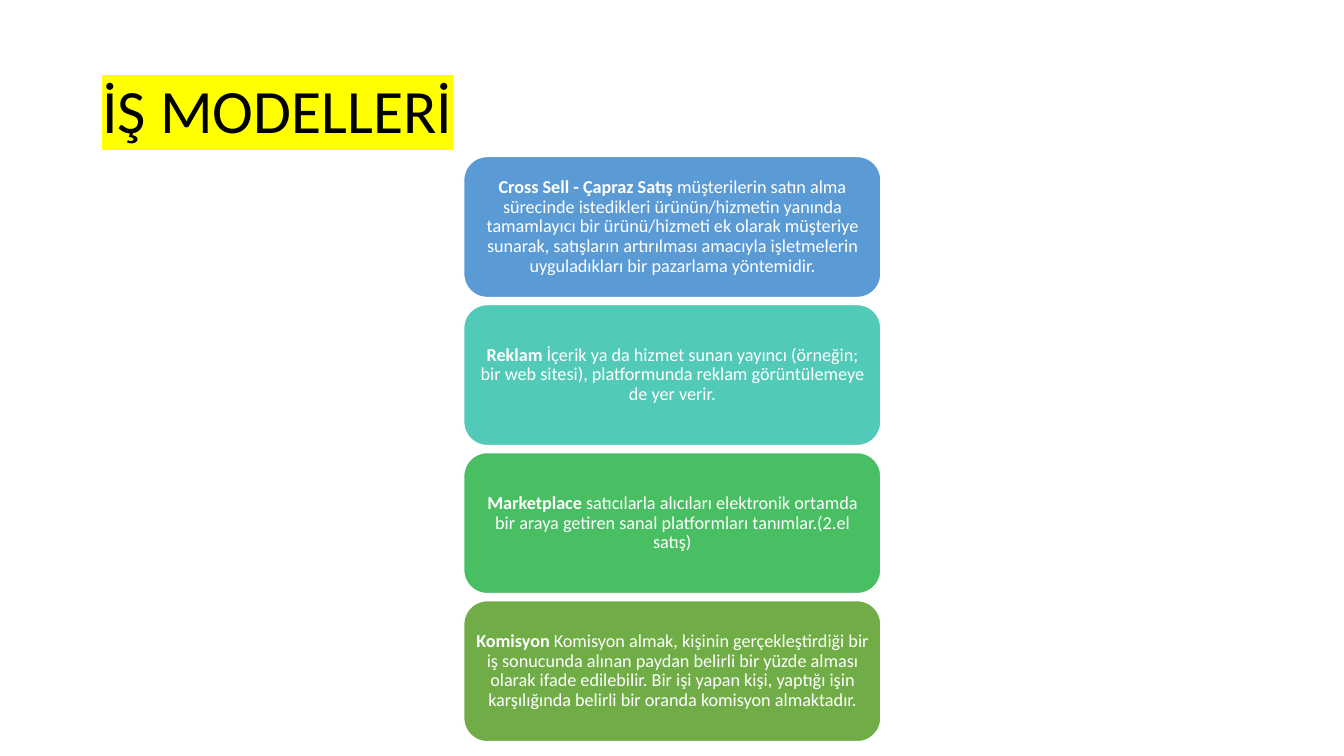
from dataclasses import dataclass

from lxml.etree import SubElement
from pptx import Presentation
from pptx.dml.color import RGBColor
from pptx.enum.shapes import MSO_SHAPE
from pptx.enum.text import MSO_ANCHOR, MSO_AUTO_SIZE, PP_ALIGN
from pptx.oxml.ns import qn
from pptx.util import Pt


@dataclass(frozen=True)
class Theme:
    font: str = "Calibri"
    title_size: int = 44
    card_size: int = 13
    line_spacing: float = 0.9
    black: str = "000000"
    white: str = "FFFFFF"
    highlight: str = "FFFF00"
    cards: tuple = ("5B9BD5", "52CAB8", "49BF64", "70AD47")


THEME = Theme()

MODELS = [
    ("Cross Sell - Çapraz Satış ",
     "müşterilerin satın alma sürecinde istedikleri ürünün/hizmetin yanında "
     "tamamlayıcı bir ürünü/hizmeti ek olarak müşteriye sunarak, satışların "
     "artırılması amacıyla işletmelerin uyguladıkları bir pazarlama yöntemidir."),
    ("Reklam ",
     "İçerik ya da hizmet sunan yayıncı (örneğin; bir web sitesi), "
     "platformunda reklam görüntülemeye de yer verir."),
    ("Marketplace ",
     "satıcılarla alıcıları elektronik ortamda bir araya getiren sanal "
     "platformları tanımlar.(2.el satış)"),
    ("Komisyon ",
     "Komisyon almak, kişinin gerçekleştirdiği bir iş sonucunda alınan paydan "
     "belirli bir yüzde alması olarak ifade edilebilir. Bir işi yapan kişi, "
     "yaptığı işin karşılığında belirli bir oranda komisyon almaktadır."),
]


def color(value):
    return RGBColor.from_string(value)


def add_title(slide, text, left, top, width, height):
    sp = slide.shapes.title
    sp.left, sp.top, sp.width, sp.height = map(Pt, (left, top, width, height))
    tf = sp.text_frame
    tf.auto_size = MSO_AUTO_SIZE.NONE
    tf.vertical_anchor = MSO_ANCHOR.MIDDLE
    p = tf.paragraphs[0]
    p.alignment = PP_ALIGN.LEFT
    p.line_spacing = THEME.line_spacing
    r = p.add_run()
    r.text = text
    r.font.size = Pt(THEME.title_size)
    r.font.color.rgb = color(THEME.black)
    highlight = SubElement(r.font._element, qn("a:highlight"))
    SubElement(highlight, qn("a:srgbClr"), val=THEME.highlight)
    r.font.name = THEME.font


def add_card(slide, name, description, fill, left, top, width, height):
    sp = slide.shapes.add_shape(
        MSO_SHAPE.ROUNDED_RECTANGLE, *map(Pt, (left, top, width, height)))
    sp.shadow.inherit = False
    sp.fill.solid()
    sp.fill.fore_color.rgb = color(fill)
    sp.line.color.rgb = color(THEME.white)
    sp.line.width = Pt(1)
    tf = sp.text_frame
    tf.word_wrap = True
    tf.vertical_anchor = MSO_ANCHOR.MIDDLE
    tf.margin_left = tf.margin_right = Pt(3.6)
    tf.margin_top = tf.margin_bottom = Pt(2.2)
    p = tf.paragraphs[0]
    p.alignment = PP_ALIGN.CENTER
    p.line_spacing = THEME.line_spacing
    p.font.name = THEME.font
    p.font.size = Pt(THEME.card_size)
    p.font.color.rgb = color(THEME.white)
    for text, bold in ((name, True), (description, False)):
        r = p.add_run()
        r.text = text
        r.font.bold = bold


def add_card_stack(slide, models, left, top, width, height, gap):
    """Stack one equally tall card per model inside the box."""
    card_height = (height - gap * (len(models) - 1)) / len(models)
    for i, ((name, description), fill) in enumerate(zip(models, THEME.cards)):
        add_card(slide, name, description, fill,
                 left, top + i * (card_height + gap), width, card_height)


def main():
    prs = Presentation()
    prs.slide_width, prs.slide_height = Pt(960), Pt(540)
    slide = prs.slides.add_slide(prs.slide_layouts[5])
    add_title(slide, "İŞ MODELLERİ", 66, 28.8, 828, 104.4)
    add_card_stack(slide, MODELS, 331.2, 111.8, 298, 418, gap=5)
    prs.save("out.pptx")


if __name__ == "__main__":
    main()
